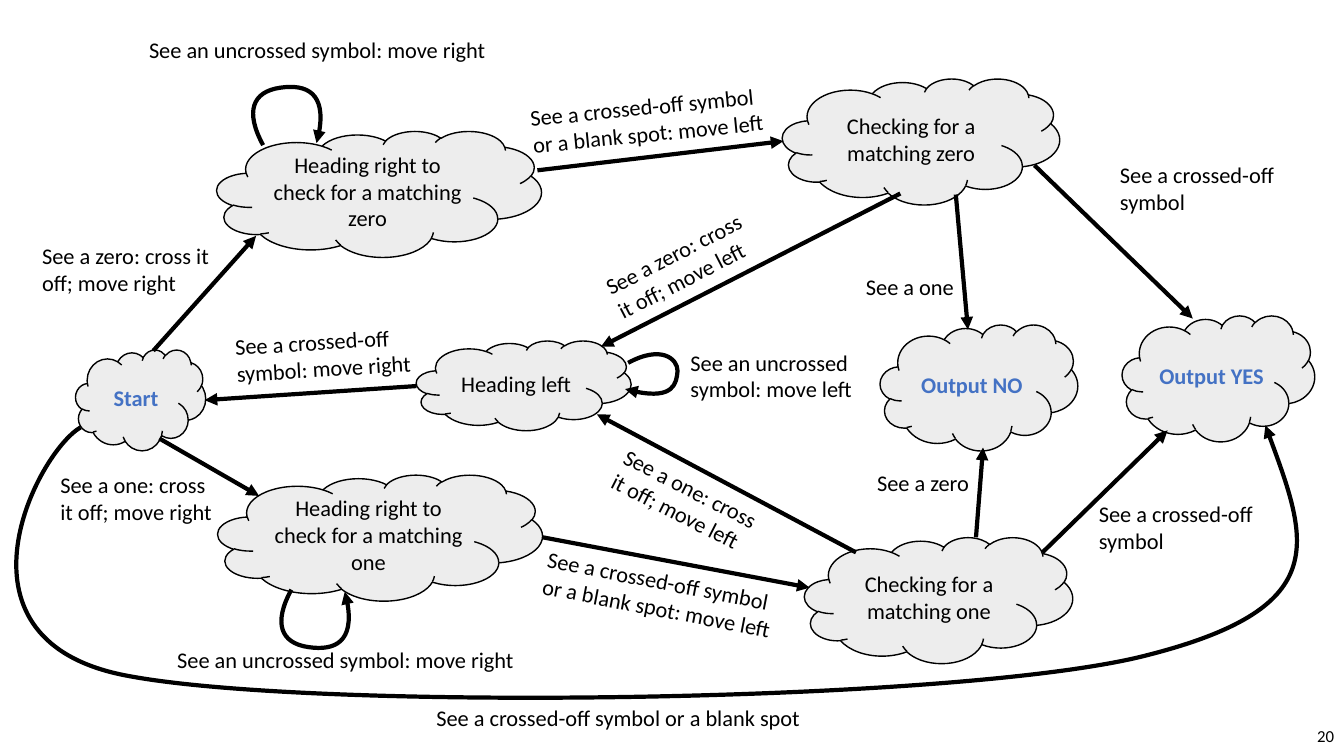
import pptx
import pptx.dml.color
import pptx.enum.shapes
import pptx.enum.text
import pptx.oxml.ns
import pptx.util
from lxml import etree

FONT = "Calibri"
BLACK, GREY, BLUE = "000000", "EDEDED", "4472C4"

deck = pptx.Presentation()
deck.slide_width = pptx.util.Inches(13.33)
deck.slide_height = pptx.util.Inches(7.5)
page = deck.slides.add_slide(deck.slide_layouts[6])

# The grid: 13.33 columns by 7.5 rows
COLUMN = deck.slide_width / 13.33
ROW = deck.slide_height / 7.5


def rgb(code):
    return pptx.dml.color.RGBColor.from_string(code)


def draw_arrow(shape):
    shape.line.color.rgb = rgb(BLACK)
    shape.line.width = pptx.util.Pt(3)
    properties = shape._element.spPr
    outline = properties.find(pptx.oxml.ns.qn("a:ln"))
    etree.SubElement(outline, pptx.oxml.ns.qn("a:tailEnd"), type="triangle")
    etree.SubElement(properties, pptx.oxml.ns.qn("a:effectLst"))


# Page number
number = page.shapes.add_textbox(
    round(10.33 * COLUMN), round(7.1 * ROW), round(3 * COLUMN), round(0.4 * ROW))
number.text_frame.word_wrap = True
number.text_frame.vertical_anchor = pptx.enum.text.MSO_ANCHOR.MIDDLE
number.text_frame.text = "20"
para = number.text_frame.paragraphs[0]
para.alignment = pptx.enum.text.PP_ALIGN.RIGHT
para.font.name = FONT
para.font.size = pptx.util.Pt(12)
para.font.color.rgb = rgb(BLACK)

# States: text, left, top, width, height, text colour
states = [
    ("Heading right to check for a matching zero", 2.15, 1.3, 3.22, 1.25, BLACK),
    ("Start", 0.75, 3.47, 1.29, 1, BLUE),
    ("Heading right to check for a matching one", 2.16, 4.71, 3.22, 1.25, BLACK),
    ("Checking for a matching zero", 7.76, 0.78, 2.75, 1.25, BLACK),
    ("Checking for a matching one", 7.98, 5.33, 2.66, 1.25, BLACK),
    ("Output NO", 8.73, 3.22, 1.96, 1.25, BLUE),
    ("Heading left", 4.13, 3.38, 2.13, 0.89, BLACK),
    ("Output YES", 11.13, 3.13, 1.91, 1.25, BLUE),
]
for text, left, top, width, height, colour in states:
    cloud = page.shapes.add_shape(
        pptx.enum.shapes.MSO_SHAPE.CLOUD,
        round(left * COLUMN), round(top * ROW),
        round(width * COLUMN), round(height * ROW))
    cloud.shadow.inherit = False
    cloud.fill.solid()
    cloud.fill.fore_color.rgb = rgb(GREY)
    cloud.line.color.rgb = rgb(BLACK)
    cloud.line.width = pptx.util.Pt(1)
    cloud.text_frame.text = text
    cloud.text_frame.vertical_anchor = pptx.enum.text.MSO_ANCHOR.MIDDLE
    para = cloud.text_frame.paragraphs[0]
    para.alignment = pptx.enum.text.PP_ALIGN.CENTER
    para.font.name = FONT
    para.font.size = pptx.util.Pt(16)
    para.font.bold = colour == BLUE
    para.font.color.rgb = rgb(colour)

# Straight transitions: from x, from y, to x, to y
transitions = [
    (1.52, 3.48, 2.54, 2.34),
    (1.58, 4.35, 2.57, 4.92),
    (5.33, 1.69, 7.77, 1.4),
    (5.38, 5.33, 8.03, 5.83),
    (8.93, 1.92, 5.96, 3.44),
    (8.49, 5.48, 5.92, 4.11),
    (4.13, 3.83, 2.03, 3.97),
    (9.48, 1.93, 9.6, 3.27),
    (9.68, 5.33, 9.75, 4.44),
    (10.26, 1.64, 11.83, 3.16),
    (10.34, 5.48, 11.58, 4.27),
]
for from_x, from_y, to_x, to_y in transitions:
    draw_arrow(page.shapes.add_connector(
        pptx.enum.shapes.MSO_CONNECTOR.STRAIGHT,
        round(from_x * COLUMN), round(from_y * ROW),
        round(to_x * COLUMN), round(to_y * ROW)))

# Curved transitions: left, top, right, bottom, then the Bezier points
curves = [
    (2.51, 0.87, 3.18, 1.45,
     [(2.61, 1.44), (2.43, 1.11), (2.5, 0.91), (2.78, 0.87),
      (3.05, 0.83), (3.27, 0.95), (3.14, 1.42)]),
    (2.79, 5.85, 3.46, 6.43,
     [(2.89, 5.85), (2.71, 6.18), (2.78, 6.38), (3.06, 6.42),
      (3.33, 6.46), (3.55, 6.34), (3.42, 5.87)]),
    (6.2, 3.51, 6.72, 3.9,
     [(6.23, 3.6), (6.56, 3.42), (6.72, 3.56), (6.72, 3.68),
      (6.71, 3.81), (6.67, 3.99), (6.2, 3.86)]),
    (0.16, 4.22, 12.85, 6.92,
     [(0.8, 4.24), (0.37, 4.49), (-0.57, 6.31), (1.19, 6.69),
      (2.94, 7.06), (9.45, 6.98), (11.34, 6.51),
      (13.22, 6.04), (12.97, 5.35), (12.55, 4.22)]),
]
for left, top, right, bottom, knots in curves:
    builder = page.shapes.build_freeform(left * COLUMN, top * ROW)
    builder.add_line_segments([(right * COLUMN, bottom * ROW)], close=False)
    curve = builder.convert_to_shape()
    # Bend the diagonal of the box into the curve
    outline = curve._element.spPr.find(".//" + pptx.oxml.ns.qn("a:path"))
    for child in list(outline):
        outline.remove(child)
    for index, (x, y) in enumerate(knots):
        if index == 0:
            piece = etree.SubElement(outline, pptx.oxml.ns.qn("a:moveTo"))
        elif index % 3 == 1:
            piece = etree.SubElement(outline, pptx.oxml.ns.qn("a:cubicBezTo"))
        etree.SubElement(piece, pptx.oxml.ns.qn("a:pt"),
                         x=str(round((x - left) * COLUMN)),
                         y=str(round((y - top) * ROW)))
    curve.fill.background()
    draw_arrow(curve)

# Transition labels: text, left, top, width, height, rotation
labels = [
    ("See a zero: cross it off; move right", 0.32, 2.35, 2.06, 0.64, 0),
    ("See a one: cross\vit off; move right", 0.5, 4.63, 2.06, 0.64, 0),
    ("See an uncrossed symbol: move right", 1.38, 0.31, 4.07, 0.37, 0),
    ("See an uncrossed symbol: move right", 1.66, 6.36, 4.07, 0.37, 0),
    ("See a crossed-off symbol or a blank spot: move left", 5.17, 0.87, 2.56, 0.64, 354.3),
    ("See a crossed-off symbol or a blank spot: move left", 5.29, 5.59, 2.61, 0.64, 10.9),
    ("See a zero: cross it off; move left", 5.9, 2.31, 1.72, 0.64, 332.7),
    ("See a one: cross it off; move left", 5.96, 4.68, 1.79, 0.64, 27),
    ("See an uncrossed symbol: move left", 6.75, 3.41, 2.09, 0.64, 0),
    ("See a crossed-off symbol: move right", 2.24, 3.19, 2.37, 0.64, 356.6),
    ("See a one", 8.49, 2.66, 1.42, 0.37, 0),
    ("See a zero", 8.6, 4.61, 1.42, 0.37, 0),
    ("See a crossed-off symbol", 11.01, 1.55, 1.89, 0.64, 0),
    ("See a crossed-off symbol", 10.8, 4.91, 1.89, 0.64, 0),
    ("See a crossed-off symbol or a blank spot", 4.23, 6.94, 4.04, 0.37, 0),
]
for text, left, top, width, height, rotation in labels:
    box = page.shapes.add_textbox(
        round(left * COLUMN), round(top * ROW),
        round(width * COLUMN), round(height * ROW))
    box.rotation = rotation
    box.text_frame.word_wrap = True
    box.text_frame.auto_size = pptx.enum.text.MSO_AUTO_SIZE.SHAPE_TO_FIT_TEXT
    box.text_frame.text = text
    para = box.text_frame.paragraphs[0]
    para.font.name = FONT
    para.font.size = pptx.util.Pt(16)
    para.font.color.rgb = rgb(BLACK)

deck.save("out.pptx")
